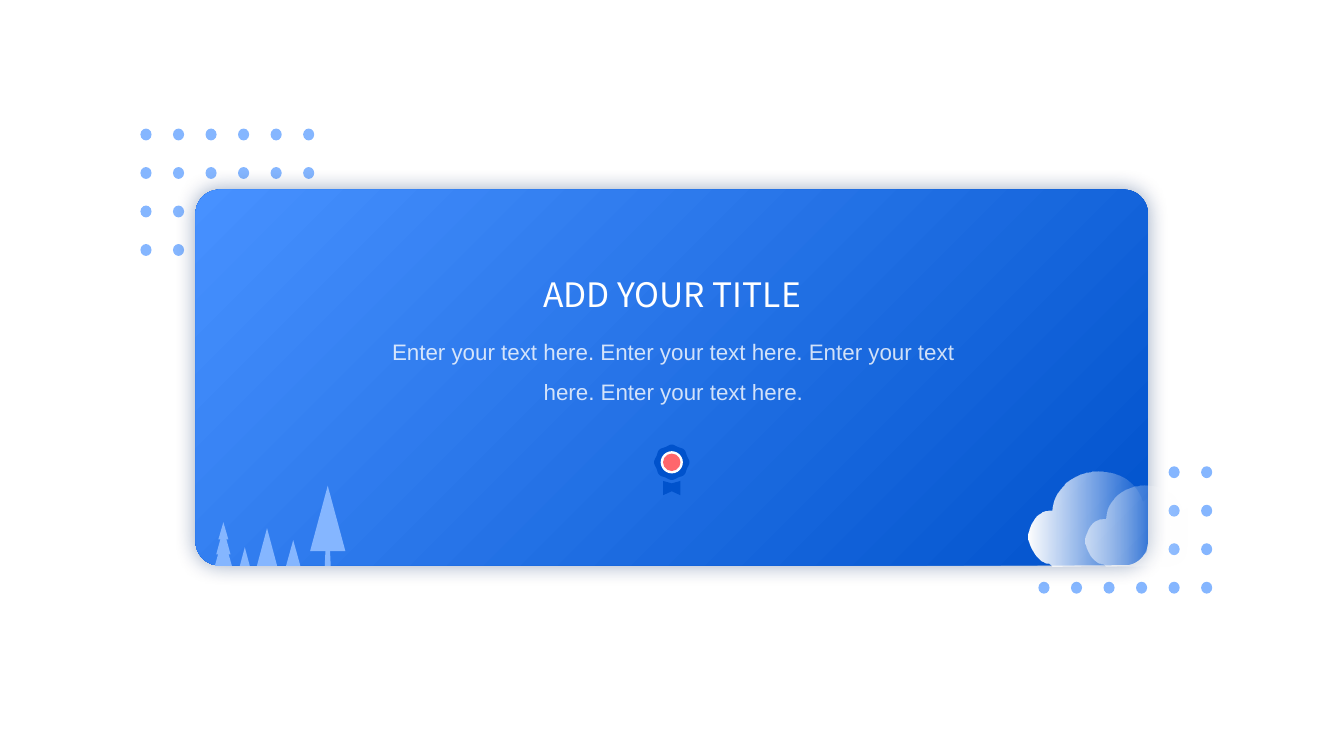
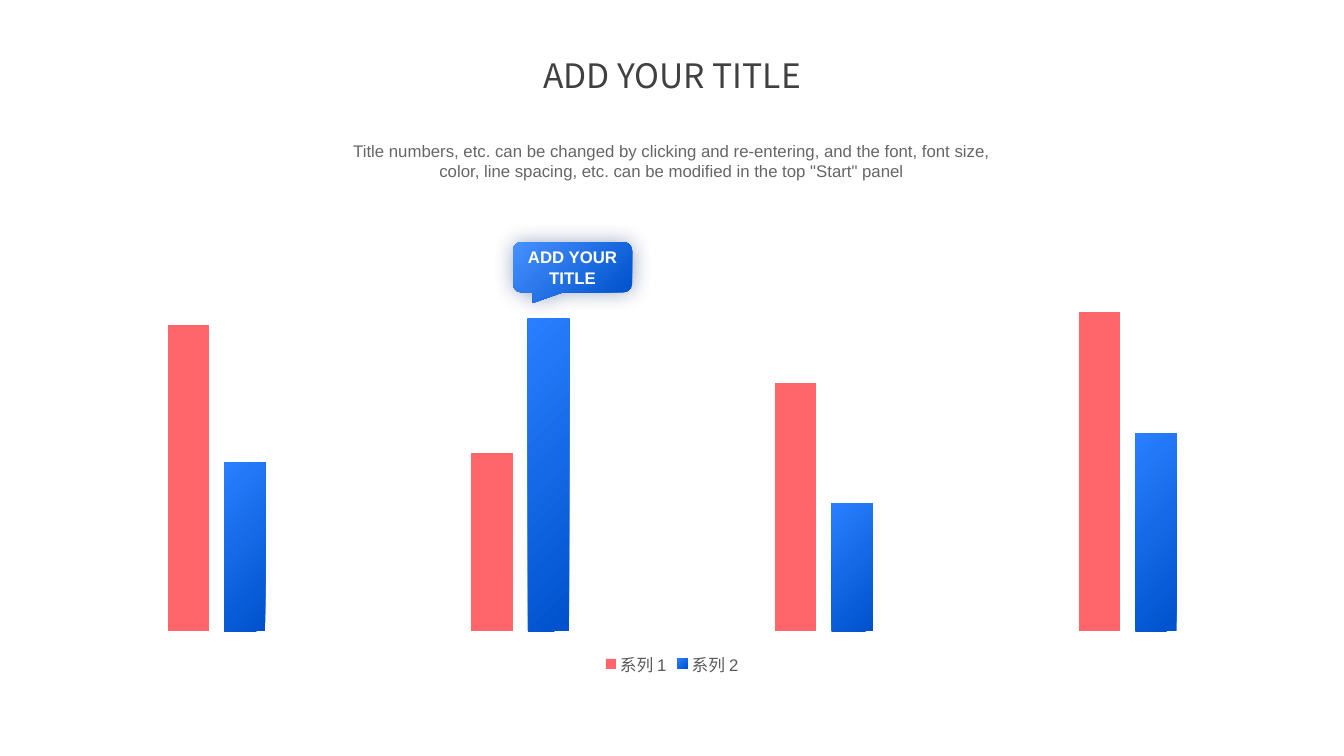
from math import cos, pi, sin

from lxml import etree
from pptx import Presentation
from pptx.chart.data import CategoryChartData
from pptx.dml.color import RGBColor
from pptx.enum.chart import XL_CHART_TYPE, XL_LEGEND_POSITION
from pptx.enum.shapes import MSO_SHAPE
from pptx.enum.text import MSO_ANCHOR, MSO_AUTO_SIZE, PP_ALIGN
from pptx.oxml.ns import qn
from pptx.util import Cm, Pt

# Colours and fonts
WHITE = RGBColor(0xFF, 0xFF, 0xFF)
SKY = RGBColor(0x85, 0xB6, 0xFF)
LIGHT_BLUE = RGBColor(0x47, 0x91, 0xFF)
BRIGHT_BLUE = RGBColor(0x29, 0x7F, 0xFF)
DEEP_BLUE = RGBColor(0x00, 0x52, 0xCC)
SHADOW_BLUE = RGBColor(0x00, 0x29, 0x66)
CORAL = RGBColor(0xFF, 0x66, 0x6C)
DARK_GREY = RGBColor(0x40, 0x40, 0x40)
LEGEND_GREY = RGBColor(0x59, 0x59, 0x59)
TITLE_FONT = "Noto Sans CJK TC"
BODY_FONT = "Arial"

OVAL = MSO_SHAPE.OVAL
TRIANGLE = MSO_SHAPE.ISOSCELES_TRIANGLE
ROUNDED = MSO_SHAPE.ROUNDED_RECTANGLE
CALLOUT = MSO_SHAPE.ROUNDED_RECTANGULAR_CALLOUT
COLUMNS = XL_CHART_TYPE.COLUMN_CLUSTERED
LEGEND_BOTTOM = XL_LEGEND_POSITION.BOTTOM
CENTER = PP_ALIGN.CENTER
MIDDLE = MSO_ANCHOR.MIDDLE
TOP = MSO_ANCHOR.TOP
FIXED_SIZE = MSO_AUTO_SIZE.NONE

SLIDE_WIDTH, SLIDE_HEIGHT = 33.87, 19.05
TITLE_ONLY = 5

# Cloud outline: a start point, then lines (1 point) and curves (3 points)
CLOUD_START = (1.75, 0)
CLOUD_SEGMENTS = [
    [(1.14, 0), (0.64, 0.43), (0.61, 0.99)],
    [(0.51, 0.99)],
    [(0.18, 0.99), (0, 1.42), (0, 1.63)],
    [(0, 1.85), (0.23, 2.29), (0.53, 2.31)],
    [(0.58, 2.34), (0.56, 2.31), (0.61, 2.39)],
    [(2.51, 2.36)],
    [(3.15, 2.21), (3.02, 1.83), (3.02, 0.64)],
    [(2.95, 0.69), (3.05, 0.61), (2.87, 0.76)],
    [(2.74, 0.3), (2.29, 0), (1.75, 0)],
]


def trace(start, segments, steps=12):
    """Points along an outline of lines and cubic curves."""
    points = [start]
    for segment in segments:
        if len(segment) == 1:
            points += segment
            continue
        corners = [points[-1], *segment]
        for step in range(1, steps + 1):
            t = step / steps
            weights = ((1 - t) ** 3, 3 * t * (1 - t) ** 2,
                       3 * t * t * (1 - t), t ** 3)
            points.append(tuple(
                sum(w * corner[axis] for w, corner in zip(weights, corners))
                for axis in (0, 1)))
    return points


def set_alpha(color_element, percent):
    alpha = etree.SubElement(color_element, qn("a:alpha"))
    alpha.set("val", str(percent * 1000))


def set_gradient(fill, owner, colors, alphas=None, from_corner=True):
    """Two-colour gradient, from the top left corner or left to right."""
    fill.gradient()
    fill.gradient_angle = 0
    for stop, color in zip(fill.gradient_stops, colors):
        stop.color.rgb = color
    gradient = next(owner.iter(qn("a:gradFill")))
    for element, percent in zip(list(gradient.iter(qn("a:srgbClr"))), alphas or ()):
        set_alpha(element, percent)
    if from_corner:
        gradient.remove(gradient.find(qn("a:lin")))
        circle = etree.SubElement(gradient, qn("a:path"), {"path": "circle"})
        etree.SubElement(circle, qn("a:fillToRect"), r="100000", b="100000")


class Deck:
    """Holds the style and the current slide."""

    def __init__(self):
        self.prs = Presentation()
        self.prs.slide_width = Cm(SLIDE_WIDTH)
        self.prs.slide_height = Cm(SLIDE_HEIGHT)
        self.slide = None

    def new_slide(self):
        self.slide = self.prs.slides.add_slide(self.prs.slide_layouts[TITLE_ONLY])

    def title(self, text, top, color):
        title = self.slide.shapes.title
        width = 7.57
        title.left, title.top = Cm((SLIDE_WIDTH - width) / 2), Cm(top)
        title.width, title.height = Cm(width), Cm(1.27)
        self.set_text(title.text_frame, [text], 24, color, TITLE_FONT, anchor=MIDDLE)
        # Bring the title in front of what is already drawn
        title.element.getparent().append(title.element)

    def set_text(self, frame, lines, size, color, font=BODY_FONT, bold=False,
                 spacing=1.0, alpha=None, anchor=TOP):
        frame.word_wrap = True
        frame.auto_size = FIXED_SIZE
        frame.vertical_anchor = anchor
        frame.text = "\n".join(lines)
        for paragraph in frame.paragraphs:
            paragraph.alignment = CENTER
            paragraph.line_spacing = spacing
            paragraph.font.size = Pt(size)
            paragraph.font.name = font
            paragraph.font.bold = bold
            paragraph.font.color.rgb = color
            if alpha is not None:
                set_alpha(next(paragraph._p.iter(qn("a:srgbClr"))), alpha)

    def text(self, text, left, top, width, height, size, color, spacing=1.0):
        box = self.slide.shapes.add_textbox(Cm(left), Cm(top), Cm(width), Cm(height))
        self.set_text(box.text_frame, [text], size, color, spacing=spacing, alpha=80)

    def shape(self, kind, left, top, width, height, color=None):
        shape = self.slide.shapes.add_shape(
            kind, Cm(left), Cm(top), Cm(width), Cm(height))
        return self.plain(shape, color)

    def outline(self, points, color=None):
        (x, y), *rest = [(Cm(px), Cm(py)) for px, py in points]
        builder = self.slide.shapes.build_freeform(x, y, scale=1.0)
        builder.add_line_segments(rest, close=True)
        return self.plain(builder.convert_to_shape(), color)

    def plain(self, shape, color):
        shape.shadow.inherit = False
        shape.line.fill.background()
        if color is not None:
            shape.fill.solid()
            shape.fill.fore_color.rgb = color
        return shape

    def panel(self, kind, left, top, width, height, adjustments):
        """Blue gradient panel with a soft glow of shadow."""
        panel = self.shape(kind, left, top, width, height)
        for index, value in enumerate(adjustments):
            panel.adjustments[index] = value
        set_gradient(panel.fill, panel.element, (LIGHT_BLUE, DEEP_BLUE))
        effects = next(panel.element.iter(qn("a:effectLst")))
        shadow = etree.SubElement(effects, qn("a:outerShdw"), blurRad=str(Pt(15)),
                                  dist="0", dir="0", algn="ctr", rotWithShape="0")
        tint = etree.SubElement(shadow, qn("a:srgbClr"), val=str(SHADOW_BLUE))
        set_alpha(tint, 40)
        return panel

    def dot_grid(self, left, top, columns=6, rows=4):
        for column in range(columns):
            for row in range(rows):
                self.shape(OVAL, left + column * 0.82, top + row * 0.97,
                           0.28, 0.3, SKY)

    def tree_part(self, center, top, width, height):
        self.shape(TRIANGLE, center - width / 2, top, width, height, SKY)

    def cloud(self, left, top, scale, alpha):
        points = [(left + scale * x, top + scale * y)
                  for x, y in trace(CLOUD_START, CLOUD_SEGMENTS)]
        cloud = self.outline(points)
        set_gradient(cloud.fill, cloud.element, (WHITE, WHITE), (alpha, 0),
                     from_corner=False)

    def badge(self, x, y):
        """Scalloped rosette with two discs and a ribbon below."""
        angles = [2 * pi * step / 96 for step in range(96)]
        radii = [0.43 + 0.015 * cos(8 * angle) for angle in angles]
        self.outline([(x + r * cos(a), y + r * sin(a))
                      for r, a in zip(radii, angles)], DEEP_BLUE)
        for radius, color in ((0.28, WHITE), (0.22, CORAL)):
            self.shape(OVAL, x - radius, y - radius, 2 * radius, 2 * radius, color)
        ribbon = [(-0.22, 0.47), (-0.22, 0.83), (0, 0.73),
                  (0.22, 0.83), (0.22, 0.47), (0, 0.53)]
        self.outline([(x + dx, y + dy) for dx, dy in ribbon], DEEP_BLUE)

    def column_chart(self, categories, series, left, top, width, height):
        data = CategoryChartData()
        data.categories = categories
        for name, values in series:
            data.add_series(name, values)
        chart = self.slide.shapes.add_chart(
            COLUMNS, Cm(left), Cm(top), Cm(width), Cm(height), data).chart
        chart.has_title = False
        chart.font.name = BODY_FONT
        chart.font.size = Pt(10)
        chart.category_axis.visible = False
        chart.value_axis.visible = False
        chart.value_axis.has_major_gridlines = False
        chart.value_axis.minimum_scale = 0
        chart.value_axis.maximum_scale = 110

        chart.has_legend = True
        chart.legend.position = LEGEND_BOTTOM
        chart.legend.include_in_layout = False
        chart.legend.font.size = Pt(12)
        chart.legend.font.name = BODY_FONT
        chart.legend.font.color.rgb = LEGEND_GREY

        plot = chart.plots[0]
        plot.vary_by_categories = False
        plot.gap_width = 500
        plot.overlap = -37
        coral_columns, blue_columns = plot.series
        coral_columns.format.fill.solid()
        coral_columns.format.fill.fore_color.rgb = CORAL
        set_gradient(blue_columns.format.fill, blue_columns._element,
                     (BRIGHT_BLUE, DEEP_BLUE))

        # Fixed plot area, as shares of the chart
        plot_area = next(chart.element.iter(qn("c:plotArea"))) if hasattr(
            chart, "element") else next(chart._chartSpace.iter(qn("c:plotArea")))
        for old_layout in plot_area.findall(qn("c:layout")):
            plot_area.remove(old_layout)
        layout = etree.Element(qn("c:layout"))
        plot_area.insert(0, layout)
        manual = etree.SubElement(layout, qn("c:manualLayout"))
        for tag, value in (("layoutTarget", "inner"), ("xMode", "edge"),
                           ("yMode", "edge"), ("x", "0.02"), ("y", "0.03"),
                           ("w", "0.96"), ("h", "0.85")):
            etree.SubElement(manual, qn("c:" + tag), val=value)


def section_slide(deck):
    deck.new_slide()
    deck.dot_grid(26.17, 11.75)
    deck.dot_grid(3.54, 3.24)
    deck.panel(ROUNDED, 4.93, 4.78, 24, 9.47, [0.064])

    # Trees: centre, top, width, height of each part
    for part in [(8.26, 12.62, 0.15, 1.64), (8.26, 12.24, 0.89, 1.65),
                 (7.39, 13.61, 0.36, 0.65), (5.63, 13.49, 0.43, 0.77),
                 (5.63, 13.31, 0.36, 0.66), (5.63, 13.16, 0.25, 0.43),
                 (6.73, 13.31, 0.51, 0.95), (6.17, 13.79, 0.25, 0.47)]:
        deck.tree_part(*part)

    deck.text("Enter your text here. Enter your text here. "
              "Enter your text here. Enter your text here.",
              9.5, 8.05, 14.94, 2.18, 16, WHITE, spacing=1.5)
    deck.cloud(25.91, 11.89, 1, 100)
    deck.cloud(27.36, 12.24, 0.85, 55)
    deck.badge(16.93, 11.65)
    deck.title("ADD YOUR TITLE", 6.78, WHITE)


def chart_slide(deck):
    deck.new_slide()
    callout = deck.panel(CALLOUT, 12.93, 6.1, 3, 1.27, [-0.334, 0.708, 0.167])
    frame = callout.text_frame
    frame.margin_left = frame.margin_right = 0
    frame.margin_top = frame.margin_bottom = 0
    deck.set_text(frame, ["ADD YOUR", "TITLE"], 12, WHITE, bold=True, anchor=MIDDLE)

    deck.column_chart(["1", "2", "3", "4"],
                      [("系列 1", (96, 56, 78, 100)), ("系列 2", (53, 98, 40, 62))],
                      0.99, 6.76, 31.9, 10.39)
    deck.text("Title numbers, etc. can be changed by clicking and re-entering, "
              "and the font, font size, color, line spacing, etc. can be "
              "modified in the top \"Start\" panel",
              8.41, 3.43, 17.04, 1.27, 12, DARK_GREY)
    deck.title("ADD YOUR TITLE", 1.25, DARK_GREY)


def main():
    deck = Deck()
    section_slide(deck)
    chart_slide(deck)
    deck.prs.save("out.pptx")


if __name__ == "__main__":
    main()
